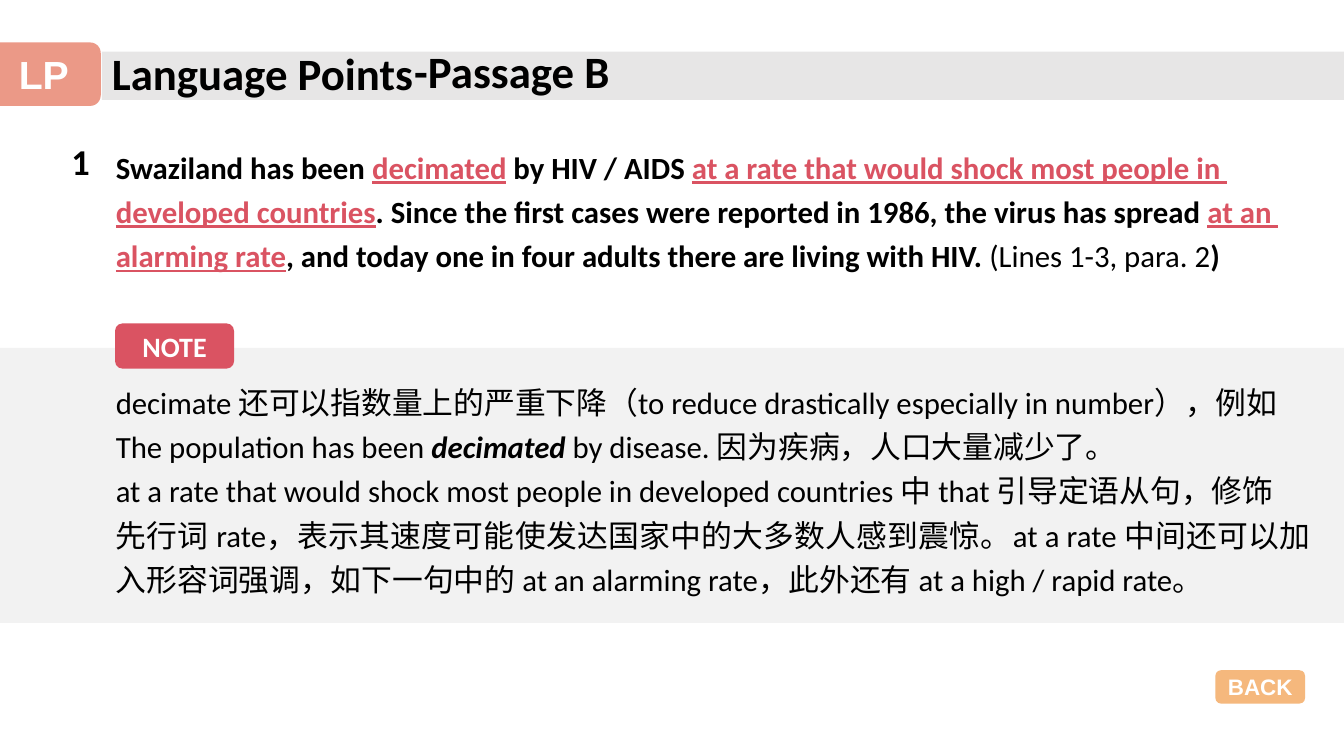
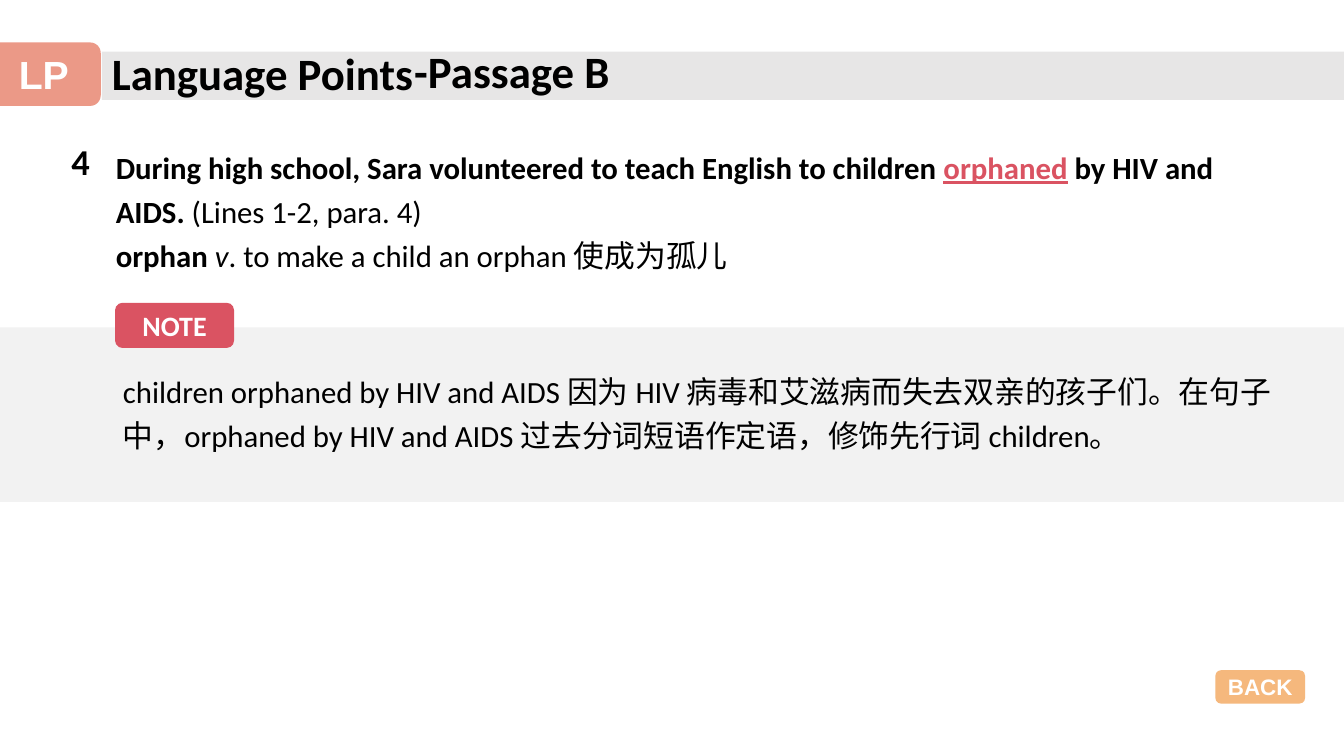
"""Build two language-point slides with a shared header, note band and back button."""
from dataclasses import dataclass

from lxml.etree import SubElement
from pptx import Presentation
from pptx.dml.color import RGBColor
from pptx.enum.shapes import MSO_SHAPE as Shape
from pptx.enum.text import MSO_ANCHOR as Anchor, PP_ALIGN as Align
from pptx.oxml.ns import qn
from pptx.util import Cm, Pt


@dataclass(frozen=True)
class Theme:
    text: str = "000000"
    white: str = "FFFFFF"
    accent: str = "DA5362"
    header_band: str = "E7E6E6"
    note_band: str = "F2F2F2"
    tab: str = "E47057"
    button: str = "F19B48"
    translucent: int = 71
    body_font: str = "Calibri"
    label_font: str = "Arial"
    chinese_font: str = "Noto Sans CJK SC"
    title_size: int = 32
    tab_size: int = 28
    number_size: int = 26
    body_size: int = 22
    note_size: int = 20
    button_size: int = 16


THEME = Theme()
SLIDE_WIDTH, SLIDE_HEIGHT = 33.87, 19.05
BODY_LEFT = 2.67
BADGE_RISE = 0.62

STYLES = {
    "plain": {},
    "bold": {"bold": True},
    "italic": {"italic": True},
    "bold italic": {"bold": True, "italic": True},
    "key": {"bold": True, "underline": True, "color": THEME.accent},
    "chinese": {"font": THEME.chinese_font},
}

POINTS = [
    {
        "number": "1",
        "sentence": [
            [("Swaziland has been ", "bold"), ("decimated", "key"),
             (" by HIV / AIDS ", "bold"),
             ("at a rate that would shock most people in ", "key")],
            [("developed countries", "key"),
             (". Since the first cases were reported in 1986, the virus has spread ", "bold"),
             ("at an ", "key")],
            [("alarming rate", "key"),
             (", and today one in four adults there are living with HIV. ", "bold"),
             ("(Lines 1-3, para. 2", "plain"), (")", "bold")],
        ],
        "sentence_width": 30.6,
        "note": [
            [("decimate 还可以指数量上的严重下降（to reduce drastically especially in number），例如", "plain")],
            [("The population has been ", "plain"), ("decimated ", "bold italic"),
             ("by disease. 因为疾病，人口大量减少了。", "plain")],
            [("at a rate that would shock most people in developed countries 中 that 引导定语从句，修饰", "plain")],
            [("先行词 rate，表示其速度可能使发达国家中的大多数人感到震惊。at a rate 中间还可以"
              "加入形容词强调，如下一句中的 at an alarming rate，此外还有 at a high / rapid rate。", "plain")],
        ],
        "note_box": (9.35, 30.6, 5.82),
        "note_indent": 0,
        "band": (8.77, 6.93),
    },
    {
        "number": "4",
        "sentence": [
            [("During high school, Sara volunteered to teach English to children ", "bold"),
             ("orphaned", "key"), (" by HIV and", "bold")],
            [("AIDS. ", "bold"), ("(Lines 1-2, para. 4)", "plain")],
            [("orphan ", "bold"), ("v", "italic"),
             (". to make a child an orphan ", "plain"), ("使成为孤儿", "chinese")],
        ],
        "sentence_width": 29.9,
        "note": [
            [("children orphaned by HIV and AIDS 因为 HIV 病毒和艾滋病而失去双亲的孩子们。在句子", "plain")],
            [("中，orphaned by HIV and AIDS 过去分词短语作定语，修饰先行词 children。", "plain")],
        ],
        "note_box": (9.07, 30.07, 2.41),
        "note_indent": 0.18,
        "band": (8.25, 4.4),
    },
]


def write(shape, text, size=THEME.body_size, font=THEME.body_font, color=THEME.text,
          bold=False, align=Align.LEFT, anchor=Anchor.TOP, spacing=None, indent=0, wrap=True):
    """Fill a shape with a string or with paragraphs of (text, style) runs."""
    frame = shape.text_frame
    frame.word_wrap = wrap
    frame.vertical_anchor = anchor
    paragraphs = [[(text, "plain")]] if isinstance(text, str) else text
    for index, runs in enumerate(paragraphs):
        paragraph = frame.add_paragraph() if index else frame.paragraphs[0]
        paragraph.alignment = align
        if spacing:
            paragraph.line_spacing = spacing
        if indent:
            paragraph._p.get_or_add_pPr().set("indent", str(Cm(indent)))
        for words, style_name in runs:
            style = STYLES[style_name]
            run = paragraph.add_run()
            run.text = words
            run.font.size = Pt(size)
            run.font.name = style.get("font", font)
            run.font.bold = style.get("bold", bold)
            run.font.italic = style.get("italic", False)
            run.font.underline = style.get("underline", False)
            run.font.color.rgb = RGBColor.from_string(style.get("color", color))


def add_text(slide, box, text, **text_format):
    """Add a text box."""
    write(slide.shapes.add_textbox(*map(Cm, box)), text, **text_format)


def add_block(slide, kind, box, fill, opacity=100):
    """Add a filled shape without outline or shadow."""
    shape = slide.shapes.add_shape(kind, *map(Cm, box))
    shape.shadow.inherit = False
    shape.line.fill.background()
    shape.fill.solid()
    shape.fill.fore_color.rgb = RGBColor.from_string(fill)
    if opacity < 100:
        color = shape.element.spPr.find(qn("a:solidFill")).find(qn("a:srgbClr"))
        SubElement(color, qn("a:alpha"), val=str(opacity * 1000))
    return shape


def add_badge(slide, box, text, fill, size, font=THEME.label_font, opacity=THEME.translucent):
    """Add a rounded label with centred white text."""
    badge = add_block(slide, Shape.ROUNDED_RECTANGLE, box, fill, opacity)
    write(badge, text, size=size, font=font, color=THEME.white, bold=True,
          align=Align.CENTER, anchor=Anchor.MIDDLE, wrap=False)


def add_frame(slide):
    """Add the header and the back button that every slide carries."""
    add_block(slide, Shape.RECTANGLE, (2.57, 1.3, SLIDE_WIDTH - 2.57, 1.22), THEME.header_band)
    for box, title in (((2.57, 1.04, 12.32, 1.63), "Language Points"),
                       ((10.19, 0.97, 6.43, 1.63), "-Passage B")):
        add_text(slide, box, title, size=THEME.title_size, bold=True)
    add_badge(slide, (-0.33, 1.07, 2.87, 1.6), "LP", THEME.tab, THEME.tab_size)
    add_badge(slide, (30.63, 16.89, 2.26, 0.84), "BACK", THEME.button, THEME.button_size)


def add_point(slide, point):
    """Add a numbered sentence and the note band below it."""
    band_top, band_height = point["band"]
    note_top, note_width, note_height = point["note_box"]
    add_block(slide, Shape.RECTANGLE, (0, band_top, SLIDE_WIDTH, band_height), THEME.note_band)
    add_text(slide, (1.55, 3.38, 1.6, 1.37), point["number"], size=THEME.number_size, bold=True)
    add_text(slide, (BODY_LEFT, 3.43, point["sentence_width"], 3.56), point["sentence"],
             align=Align.JUSTIFY, spacing=1.2)
    add_text(slide, (BODY_LEFT, note_top, note_width, note_height), point["note"],
             align=Align.JUSTIFY, spacing=1.2, indent=point["note_indent"])
    add_badge(slide, (2.9, band_top - BADGE_RISE, 3, 1.14), "NOTE", THEME.accent,
              THEME.note_size, font=THEME.body_font, opacity=100)


def main():
    """Build and save the presentation."""
    presentation = Presentation()
    presentation.slide_width = Cm(SLIDE_WIDTH)
    presentation.slide_height = Cm(SLIDE_HEIGHT)
    for point in POINTS:
        slide = presentation.slides.add_slide(presentation.slide_layouts[6])
        add_frame(slide)
        add_point(slide, point)
    presentation.save("out.pptx")


if __name__ == "__main__":
    main()
